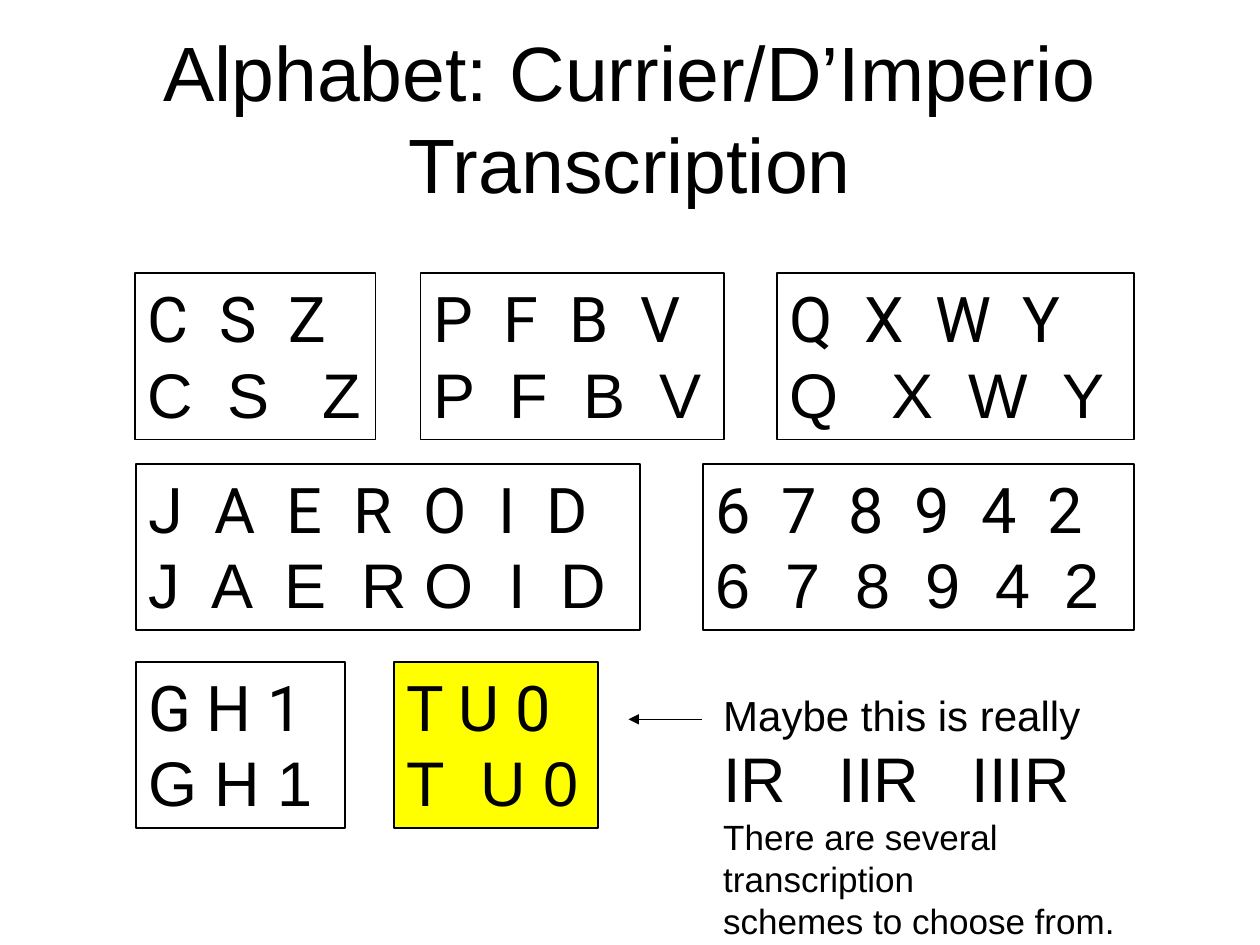
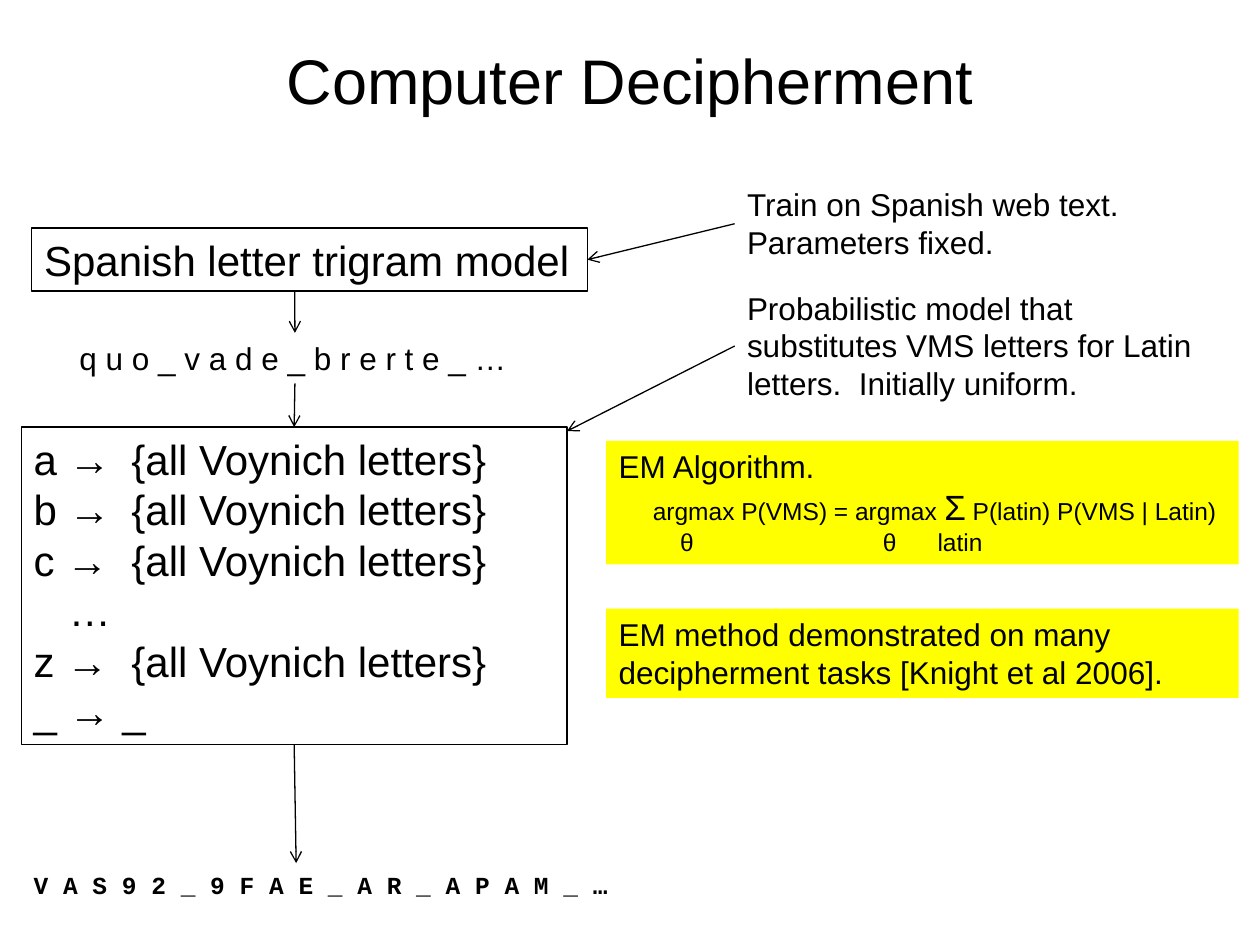
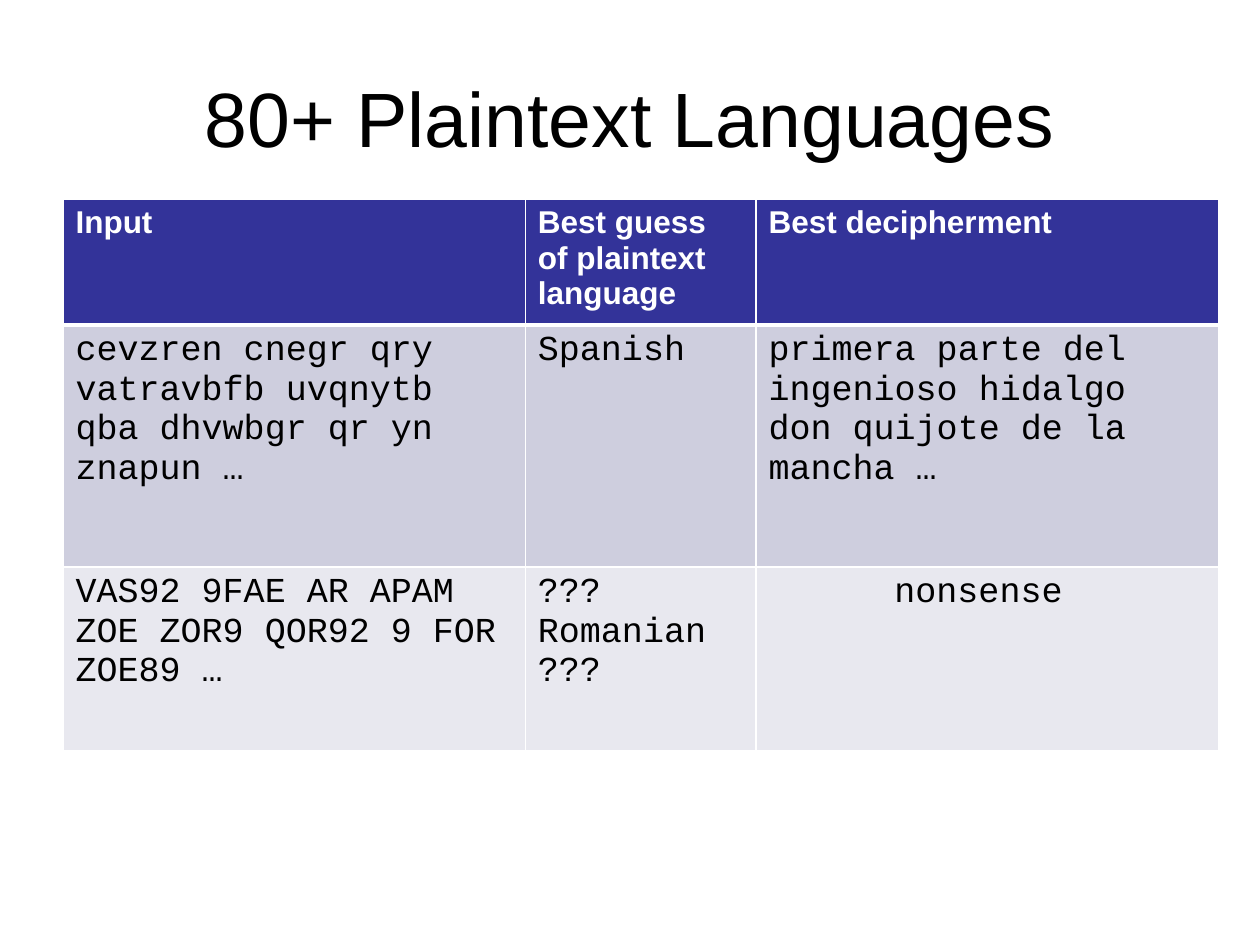
from dataclasses import dataclass

from lxml import etree
from pptx import Presentation
from pptx.dml.color import RGBColor
from pptx.enum.shapes import MSO_CONNECTOR, MSO_SHAPE
from pptx.enum.text import MSO_ANCHOR, PP_ALIGN
from pptx.oxml.ns import qn
from pptx.util import Cm, Pt

LEFT, CENTER = PP_ALIGN.LEFT, PP_ALIGN.CENTER
MIDDLE, TOP_ANCHOR = MSO_ANCHOR.MIDDLE, MSO_ANCHOR.TOP
RECTANGLE, STRAIGHT = MSO_SHAPE.RECTANGLE, MSO_CONNECTOR.STRAIGHT
TOP, LEFT_SIDE, BOTTOM, RIGHT_SIDE = range(4)


@dataclass(frozen=True)
class Theme:
    ink: str = "000000"
    paper: str = "FFFFFF"
    highlight: str = "FFFF00"
    header: str = "333399"
    bands: tuple = ("CECEDE", "E8E8EF")
    sans: str = "Arial"
    mono: str = "Courier New"
    glyph: str = "Roboto"
    title: int = 44
    small_title: int = 36
    letters: int = 36
    large: int = 24
    medium: int = 20
    body: int = 18
    formula: int = 14
    inset_x: float = 0.25
    inset_y: float = 0.13


THEME = Theme()


def rgb(value):
    return RGBColor.from_string(value)


def write(frame, text, size=THEME.body, font=THEME.sans, color=THEME.ink,
          bold=False, align=LEFT, tabs=()):
    """Append a paragraph; text is a string or a list of (string, size) runs."""
    first = frame.paragraphs[0]
    paragraph = frame.add_paragraph() if first.runs else first
    paragraph.alignment = align
    if tabs:
        stops = etree.SubElement(paragraph._p.get_or_add_pPr(), qn("a:tabLst"))
        for position in tabs:
            etree.SubElement(stops, qn("a:tab"), pos=str(Cm(position)), algn="l")
    for part, part_size in [(text, size)] if isinstance(text, str) else text:
        run = paragraph.add_run()
        run.text = part
        run.font.name = font
        run.font.size = Pt(part_size)
        run.font.bold = bold
        run.font.color.rgb = rgb(color)


def prepare_frame(shape, anchor, inset_right):
    frame = shape.text_frame
    frame.word_wrap = True
    frame.vertical_anchor = anchor
    frame.margin_left, frame.margin_right = Cm(THEME.inset_x), Cm(inset_right)
    frame.margin_top = frame.margin_bottom = Cm(THEME.inset_y)


def add_label(slide, place, lines=(), anchor=TOP_ANCHOR, inset_right=0, **style):
    label = slide.shapes.add_textbox(*map(Cm, place))
    prepare_frame(label, anchor, inset_right)
    for line in lines:
        write(label.text_frame, line, **style)
    return label


def add_panel(slide, place, lines=(), fill=None, border=None, **style):
    panel = slide.shapes.add_shape(RECTANGLE, *map(Cm, place))
    panel.shadow.inherit = False
    if fill:
        panel.fill.solid()
        panel.fill.fore_color.rgb = rgb(fill)
    else:
        panel.fill.background()
    if border:
        panel.line.color.rgb = rgb(THEME.ink)
        panel.line.width = Pt(border)
    else:
        panel.line.fill.background()
    prepare_frame(panel, TOP_ANCHOR, 0)
    for line in lines:
        write(panel.text_frame, line, **style)
    return panel


def add_title(slide, text, top=0.76, size=THEME.title):
    add_label(slide, (1.27, top, 22.86, 3.18), [text], anchor=MIDDLE,
              inset_right=THEME.inset_x, size=size, align=CENTER)


def add_arrow(slide, start, end, head="arrow"):
    """Each end is either an (x, y) point or a (shape, side) pair."""
    joined = [not isinstance(tip[0], (int, float)) for tip in (start, end)]
    points = [(0, 0) if join else tip for join, tip in zip(joined, (start, end))]
    arrow = slide.shapes.add_connector(
        STRAIGHT, *(Cm(value) for point in points for value in point))
    if joined[0]:
        arrow.begin_connect(*start)
    if joined[1]:
        arrow.end_connect(*end)
    arrow.line.color.rgb = rgb(THEME.ink)
    arrow.line.width = Pt(0.75)
    etree.SubElement(arrow.line._get_or_add_ln(), qn("a:tailEnd"), type=head)
    etree.SubElement(arrow._element.spPr, qn("a:effectLst"))


def add_letter_group(slide, left, top, width, rows, fill=None):
    """Box with glyphs above their transcription; rows hold (text, tabs)."""
    group = add_panel(slide, (left, top, width, 3.35), fill=fill, border=1)
    for font, (letters, tabs) in zip((THEME.glyph, THEME.sans), rows):
        write(group.text_frame, letters, font=font, size=THEME.letters, tabs=tabs)


def spread(letters):
    return "\t".join(letters)


def border_cell(cell, bottom):
    properties = cell._tc.get_or_add_tcPr()
    widths = {"a:lnL": 1, "a:lnR": 1, "a:lnT": 1, "a:lnB": bottom}
    for index, (tag, width) in enumerate(widths.items()):
        edge = etree.Element(qn(tag), w=str(Pt(width)))
        fill = etree.SubElement(edge, qn("a:solidFill"))
        etree.SubElement(fill, qn("a:srgbClr"), val=THEME.paper)
        properties.insert(index, edge)


def fill_cell(cell, lines, fill, bottom=1, **style):
    cell.fill.solid()
    cell.fill.fore_color.rgb = rgb(fill)
    border_cell(cell, bottom)
    for line in lines:
        write(cell.text_frame, line, **style)


def build_alphabet(slide):
    add_title(slide, "Alphabet: Currier/D’Imperio Transcription")
    first_row, second_row, third_row = 5.51, 9.35, 13.34
    digit_tabs = [[step * count for count in range(1, 6)] for step in (1.34, 1.41)]
    groups = [
        (2.72, first_row, 4.85, "CSZ", (1.46, 2.84), (1.62, 3.53)),
        (8.48, first_row, 6.12, "PFBV", (1.43, 2.76, 4.18), (1.55, 3.04, 4.57)),
        (15.67, first_row, 7.19, "QXWY", (1.5, 2.93, 4.69), (2.05, 3.6, 5.49)),
        (2.74, second_row, 10.16, "JAEROID", (1.33, 2.79, 4.14, 5.55, 7.06, 8.03),
         (1.27, 2.75, 4.3, 5.57, 7.26, 8.3)),
        (14.17, second_row, 8.69, "678942", *digit_tabs),
    ]
    for left, top, width, letters, *tab_sets in groups:
        rows = [(spread(letters), tabs) for tabs in tab_sets]
        add_letter_group(slide, left, top, width, rows)
    add_letter_group(slide, 2.74, third_row, 4.22, [("G H 1", ())] * 2)
    add_letter_group(slide, 7.95, third_row, 4.11,
                     [("T U 0", ()), ("T\tU 0", (1.48,))], fill=THEME.highlight)

    remark = add_label(slide, (14.33, 13.77, 10.08, 4.5), ["Maybe this is really"],
                       inset_right=THEME.inset_x, size=THEME.large).text_frame
    write(remark, spread(["IR", "IIR", "IIIR"]), size=THEME.letters, tabs=(2.33, 5.01))
    for line in ("There are several transcription", "schemes to choose from."):
        write(remark, line, size=THEME.medium)
    add_arrow(slide, (14.15, 14.5), (12.67, 14.5), head="triangle")


def build_decipherment(slide):
    add_title(slide, "Computer Decipherment", top=0, size=THEME.small_title)
    trigram_model = add_panel(slide, (0.64, 4.6, 11.2, 1.27),
                              ["Spanish letter trigram model"],
                              border=0.75, size=THEME.large)
    plaintext = add_label(slide, (1.35, 6.71, 9.19, 1.02),
                          ["q u o _ v a d e _ b r e r t e _ …"])
    substitutions = add_panel(slide, (0.43, 8.61, 11, 6.4), border=0.75)
    for letter in "abc…z":
        ellipsis = letter == "…"
        write(substitutions.text_frame,
              "\t…" if ellipsis else f"{letter} →\t{{all Voynich letters}}",
              size=THEME.large, tabs=(0.71,) if ellipsis else (1.97,))
    write(substitutions.text_frame, "_ → _", size=THEME.large)
    add_label(slide, (0.43, 17.4, 12.14, 0.86),
              ["V A S 9 2 _ 9 F A E _ A R _ A P A M _ …"],
              size=THEME.formula, font=THEME.mono, bold=True)

    training = add_label(slide, (14.81, 3.61, 8.08, 1.8),
                         ["Train on Spanish web text.", "Parameters fixed."])
    channel = add_label(slide, (14.81, 5.69, 9.55, 2.57),
                        ["Probabilistic model that",
                         "substitutes VMS letters for Latin",
                         "letters.  Initially uniform."])

    add_arrow(slide, (5.94, 5.87), (plaintext, TOP))
    add_arrow(slide, (plaintext, BOTTOM), (substitutions, TOP))
    add_arrow(slide, (substitutions, BOTTOM), (5.97, 17.4))
    add_arrow(slide, (training, LEFT_SIDE), (trigram_model, RIGHT_SIDE))
    add_arrow(slide, (channel, LEFT_SIDE), (11.43, 8.69))

    em_left, em_width = 12.22, 12.75
    algorithm = add_panel(slide, (em_left, 8.89, em_width, 2.49), ["EM Algorithm."],
                          fill=THEME.highlight).text_frame
    write(algorithm, [("\targmax P(VMS) = argmax ", THEME.formula),
                      ("Σ", THEME.medium),
                      (" P(latin) P(VMS | Latin)", THEME.formula)], tabs=(0.69,))
    write(algorithm, "\tθ\tθ\tlatin", size=THEME.formula, tabs=(1.24, 5.33, 6.43))
    add_panel(slide, (em_left, 12.27, em_width, 1.8),
              ["EM method demonstrated on many decipherment tasks [Knight et al 2006]."],
              fill=THEME.highlight)


def build_languages(slide):
    add_title(slide, "80+ Plaintext Languages")
    headings = ["Input", "Best guess of plaintext language", "Best decipherment"]
    results = [
        [["cevzren cnegr qry vatravbfb uvqnytb qba dhvwbgr qr yn znapun …"],
         ["Spanish"],
         ["primera parte del ingenioso hidalgo don quijote de la mancha …"]],
        [["VAS92 9FAE AR APAM ZOE ZOR9 QOR92 9 FOR ZOE89 …"],
         ["???", "Romanian", "???"],
         ["nonsense"]],
    ]
    widths, heights = (9.32, 4.65, 9.32), (2.44, 4.88, 3.71)
    table = slide.shapes.add_table(3, 3, Cm(1.27), Cm(4.01),
                                   Cm(sum(widths)), Cm(sum(heights))).table
    for column, width in zip(table.columns, widths):
        column.width = Cm(width)
    for row, height in zip(table.rows, heights):
        row.height = Cm(height)
    for column, heading in enumerate(headings):
        fill_cell(table.cell(0, column), [heading], THEME.header, bottom=3,
                  color=THEME.paper, bold=True)
    for row, (cells, band) in enumerate(zip(results, THEME.bands), start=1):
        for column, lines in enumerate(cells):
            fill_cell(table.cell(row, column), lines, band,
                      font=THEME.mono, size=THEME.medium)
    table.cell(2, 2).margin_left = Cm(2.79)


def main():
    deck = Presentation()
    deck.slide_width, deck.slide_height = Cm(25.4), Cm(19.05)
    blank = deck.slide_layouts[6]
    for build in (build_alphabet, build_decipherment, build_languages):
        build(deck.slides.add_slide(blank))
    deck.save("out.pptx")


if __name__ == "__main__":
    main()
